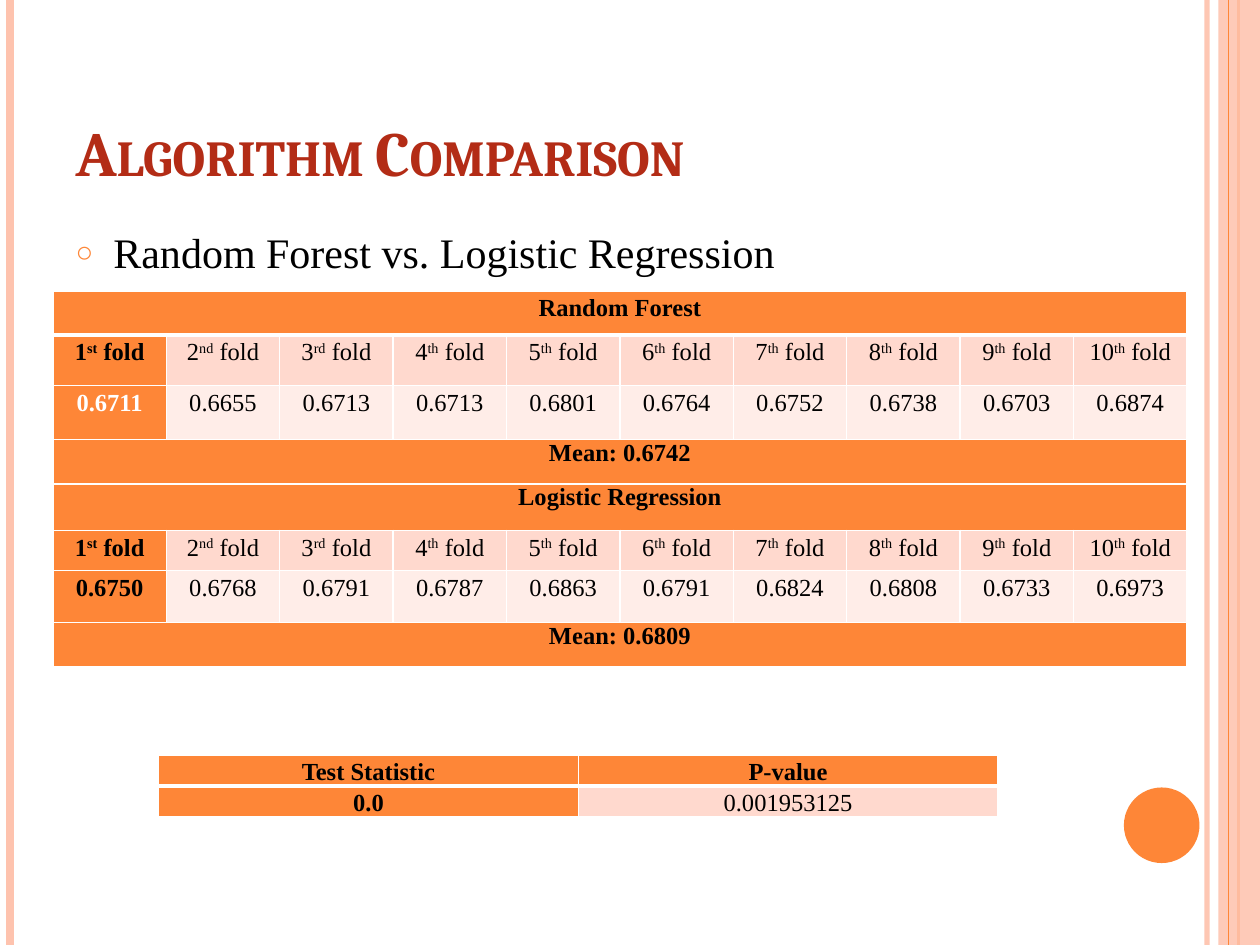
from lxml import etree
from pptx import Presentation
from pptx.dml.color import RGBColor
from pptx.enum import shapes, text
from pptx.oxml.ns import qn
from pptx.util import Inches, Pt

COLORS = {"orange": "FE8637", "peach": "FEC3AE", "red": "B32C16", "black": "000000",
          "white": "FFFFFF", "label": "FFD9CE", "value": "FFEDE8"}
TITLE = "Algorithm Comparison"
BULLET = "Random Forest vs. Logistic Regression"
FONT = "Times New Roman"
ORDINALS = ["st", "nd", "rd"] + ["th"] * 7
FOLDS = [(str(i), suffix, " fold") for i, suffix in enumerate(ORDINALS, 1)]
FOREST = ["0.6711", "0.6655", "0.6713", "0.6713", "0.6801",
          "0.6764", "0.6752", "0.6738", "0.6703", "0.6874"]
LOGISTIC = ["0.6750", "0.6768", "0.6791", "0.6787", "0.6863",
            "0.6791", "0.6824", "0.6808", "0.6733", "0.6973"]
# Each row: cells, height, fill beyond the first column, line spacing
FOLD_ROWS = [
    (["Random Forest"], 0.35, "orange", 1.15),
    (FOLDS, 0.4, "label", 1.15),
    (FOREST, 0.43, "value", 1.15),
    (["Mean: 0.6742"], 0.35, "orange", 1),
    (["Logistic Regression"], 0.37, "orange", 1),
    (FOLDS, 0.32, "label", 1.15),
    (LOGISTIC, 0.41, "value", 1.15),
    (["Mean: 0.6809"], 0.35, "orange", 1),
]
TEST_ROWS = [
    (["Test Statistic", "P-value"], 0.24, "orange", 1.15),
    (["0.0", "0.001953125"], 0.24, "label", 1.15),
]
RULES = [(9.58, "peach", 3, 93), (0.08, "peach", 4.5, 100), (9.83, "orange", 1.5, 100)]
INNER_RULE = (9.75, "orange", 0.75, 100)


def rgb(name):
    return RGBColor.from_string(COLORS[name])


def set_alpha(element, percent):
    if percent < 100:
        color = element.find(".//" + qn("a:srgbClr"))
        etree.SubElement(color, qn("a:alpha"), val=str(percent * 1000))


def add_rule(s, x, color, width, alpha):
    line = s.shapes.add_connector(shapes.MSO_CONNECTOR.STRAIGHT,
                                  Inches(x), 0, Inches(x), Inches(7.5))
    line.line.color.rgb = rgb(color)
    line.line.width = Pt(width)
    sp_pr = line._element.spPr
    set_alpha(sp_pr, alpha)
    etree.SubElement(sp_pr, qn("a:effectLst"))


def add_block(s, kind, box, color, alpha=100):
    sp = s.shapes.add_shape(kind, *map(Inches, box))
    sp.shadow.inherit = False
    sp.fill.solid()
    sp.fill.fore_color.rgb = rgb(color)
    sp.line.fill.background()
    set_alpha(sp._element.spPr, alpha)


def fill_placeholder(sp, box, words, font, size, color):
    sp.left, sp.top, sp.width, sp.height = map(Inches, box)
    tf = sp.text_frame
    tf.text = words
    tf.auto_size = text.MSO_AUTO_SIZE.NONE
    p = tf.paragraphs[0]
    p.alignment = text.PP_ALIGN.LEFT
    f = p.runs[0].font
    f.name, f.size, f.color.rgb = font, Pt(size), rgb(color)
    return p


def set_borders(cell, bottom, top):
    tc_pr = cell._tc.get_or_add_tcPr()
    for side, width in (("L", 1), ("R", 1), ("T", top), ("B", bottom)):
        ln = etree.SubElement(tc_pr, qn("a:ln" + side), w=str(Pt(width)))
        fill = etree.SubElement(ln, qn("a:solidFill"))
        etree.SubElement(fill, qn("a:srgbClr"), val=COLORS["white"])


def write_cell(cell, parts, bold, spacing, color):
    p = cell.text_frame.paragraphs[0]
    p.alignment = text.PP_ALIGN.CENTER
    p.line_spacing = spacing
    for i, part in enumerate(parts):
        r = p.add_run()
        r.text = part
        f = r.font
        f.name, f.size, f.bold, f.color.rgb = FONT, Pt(14), bold, rgb(color)
        if i == 1:
            r._r.get_or_add_rPr().set("baseline", "30000")


def add_grid(s, left, top, col_width, cols, rows):
    height = sum(row[1] for row in rows)
    table = s.shapes.add_table(len(rows), cols, Inches(left), Inches(top),
                               Inches(col_width * cols), Inches(height)).table
    table.horz_banding = False
    for col in table.columns:
        col.width = Inches(col_width)
    for i, (cells, row_height, fill, spacing) in enumerate(rows):
        table.rows[i].height = Inches(row_height)
        for j in range(cols):
            cell = table.cell(i, j)
            cell.margin_left = cell.margin_right = Inches(0.07)
            cell.margin_top = cell.margin_bottom = 0
            set_borders(cell, 3 if i == 0 else 1, 3 if i == 1 else 1)
            cell.fill.solid()
            cell.fill.fore_color.rgb = rgb(fill if j else "orange")
            if j < len(cells):
                parts = [cells[j]] if isinstance(cells[j], str) else cells[j]
                color = "white" if cells is FOREST and j == 0 else "black"
                write_cell(cell, parts, i == 0 or j == 0, spacing, color)
        if len(cells) == 1:
            table.cell(i, 0).merge(table.cell(i, cols - 1))


def main():
    """Build the algorithm comparison slide."""
    prs = Presentation()
    prs.slide_width, prs.slide_height = Inches(10), Inches(7.5)
    s = prs.slides.add_slide(prs.slide_layouts[1])
    for rule in RULES:
        add_rule(s, *rule)
    add_block(s, shapes.MSO_SHAPE.RECTANGLE, (9.67, 0, 0.33, 7.5), "peach", 87)
    add_rule(s, *INNER_RULE)
    add_block(s, shapes.MSO_SHAPE.OVAL, (8.92, 6.25, 0.6, 0.6), "orange")

    title, body = s.placeholders
    p = fill_placeholder(title, (0.5, 0.3, 8.17, 1.25), TITLE, "Cambria", 36, "red")
    title.text_frame.vertical_anchor = text.MSO_ANCHOR.BOTTOM
    p.runs[0].font.bold = True
    p.runs[0]._r.get_or_add_rPr().set("cap", "small")

    p = fill_placeholder(body, (0.5, 1.75, 8.17, 5.33), BULLET, FONT, 24, "black")
    p.space_before = Pt(6)
    p_pr = p._p.get_or_add_pPr()
    p_pr.set("marL", str(Inches(0.3)))
    p_pr.set("indent", str(Inches(-0.3)))
    bullet_color = etree.SubElement(p_pr, qn("a:buClr"))
    etree.SubElement(bullet_color, qn("a:srgbClr"), val=COLORS["orange"])
    etree.SubElement(p_pr, qn("a:buSzPct"), val="70000")
    etree.SubElement(p_pr, qn("a:buChar"), char="○")

    add_grid(s, 0.42, 2.31, 0.9, 10, FOLD_ROWS)
    add_grid(s, 1.26, 5.99, 3.33, 2, TEST_ROWS)
    prs.save("out.pptx")


if __name__ == "__main__":
    main()
